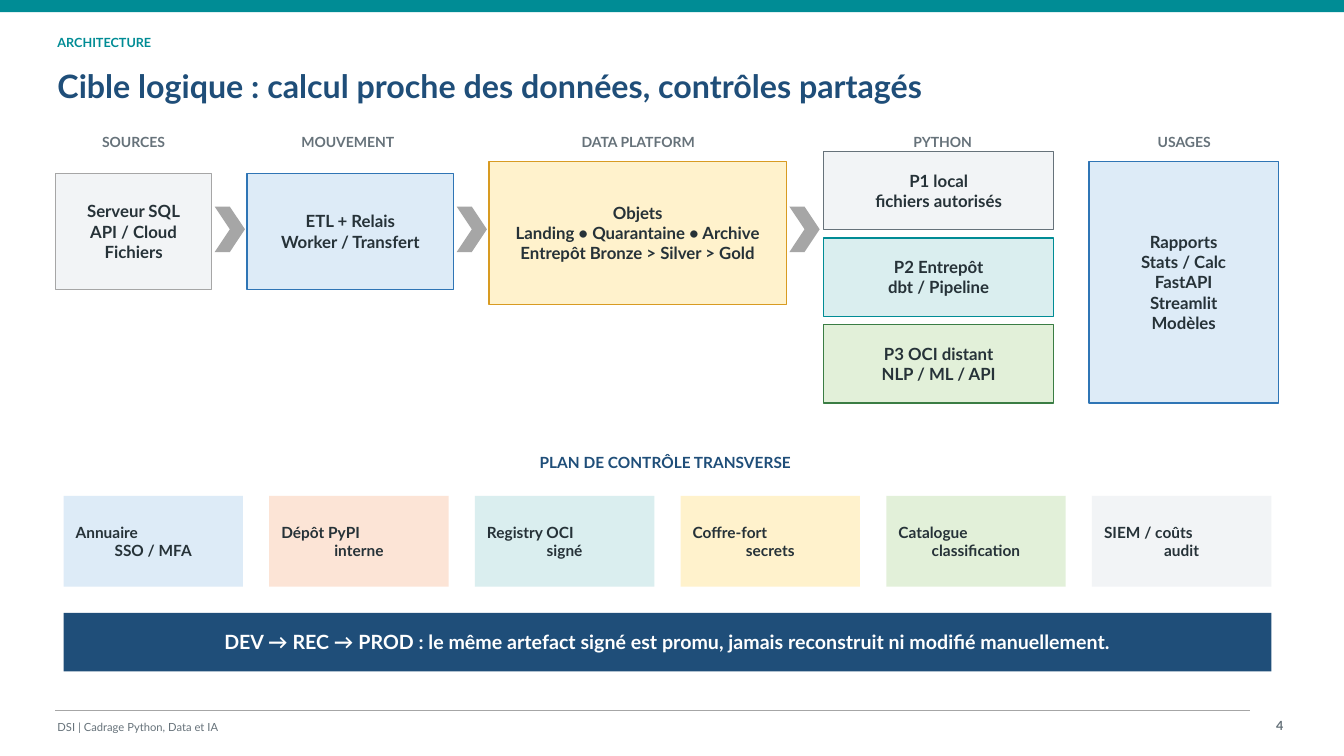
import pptx
import pptx.util
import pptx.dml.color
import pptx.enum.shapes
import pptx.enum.text
import pptx.oxml.ns
import lxml.etree

Inches = pptx.util.Inches
Align = pptx.enum.text.PP_ALIGN
Anchor = pptx.enum.text.MSO_ANCHOR
Preset = pptx.enum.shapes.MSO_SHAPE

FONT = "Lato"
COLORS = {
    "white": "FFFFFF", "ink": "263238", "slate": "66727A", "line": "A6A6A6",
    "navy": "1F4E79", "blue": "2F75B5", "teal": "008C95", "gold": "D89B22",
    "green": "3A7D44", "pale_gray": "F2F4F6", "pale_blue": "DDEBF7",
    "pale_gold": "FFF2CC", "pale_teal": "DAEEEF", "pale_green": "E2F0D9",
    "pale_orange": "FCE4D6",
}

SECTION = "ARCHITECTURE"
TITLE = "Cible logique : calcul proche des données, contrôles partagés"
FOOTER = "DSI | Cadrage Python, Data et IA"
PAGE_NUMBER = "4"

# text, left, width
HEADINGS = [
    ("SOURCES", 0.55, 1.55),
    ("MOUVEMENT", 2.35, 2.2),
    ("DATA PLATFORM", 4.83, 3),
    ("PYTHON", 8.2, 2.3),
    ("USAGES", 10.82, 1.85),
]
# lines, (left, top, width, height), fill, outline, followed by a chevron
STAGES = [
    (["Serveur SQL", "API / Cloud", "Fichiers"],
     (0.55, 1.72, 1.55, 1.15), "pale_gray", "line", True),
    (["ETL + Relais", "Worker / Transfert"],
     (2.45, 1.72, 2.05, 1.15), "pale_blue", "blue", True),
    (["Objets", "Landing • Quarantaine • Archive", "Entrepôt Bronze > Silver > Gold"],
     (4.85, 1.6, 2.95, 1.42), "pale_gold", "gold", True),
    (["Rapports", "Stats / Calc", "FastAPI", "Streamlit", "Modèles"],
     (10.8, 1.6, 1.88, 2.4), "pale_blue", "blue", False),
]
PYTHON_PROFILES = [
    (["P1 local", "fichiers autorisés"], "pale_gray", "slate"),
    (["P2 Entrepôt", "dbt / Pipeline"], "pale_teal", "teal"),
    (["P3 OCI distant", "NLP / ML / API"], "pale_green", "green"),
]
CONTROL_HEADING = "PLAN DE CONTRÔLE TRANSVERSE"
CONTROLS = [
    (["Annuaire", "SSO / MFA"], "pale_blue"),
    (["Dépôt PyPI", "interne"], "pale_orange"),
    (["Registry OCI", "signé"], "pale_teal"),
    (["Coffre-fort", "secrets"], "pale_gold"),
    (["Catalogue", "classification"], "pale_green"),
    (["SIEM / coûts", "audit"], "pale_gray"),
]
PROMOTION = ("DEV → REC → PROD : le même artefact signé est promu, "
             "jamais reconstruit ni modifié manuellement.")

PROFILE_LEFT, PROFILE_TOP, PROFILE_PITCH = 8.17, 1.5, 0.86
CONTROL_LEFT, CONTROL_PITCH = 0.63, 2.04


def color(name):
    return pptx.dml.color.RGBColor.from_string(COLORS[name])


def write(shape, lines, size=12, ink="ink", bold=True, aligns=(Align.CENTER,),
          anchor=Anchor.MIDDLE, inset=0.12):
    """Write one paragraph per line; the last alignment serves all later lines."""
    frame = shape.text_frame
    frame.word_wrap = True
    frame.auto_size = pptx.enum.text.MSO_AUTO_SIZE.NONE
    frame.vertical_anchor = anchor
    frame.margin_left = frame.margin_right = Inches(inset)
    frame.margin_top = frame.margin_bottom = Inches(inset)
    for index, line in enumerate(lines):
        paragraph = frame.add_paragraph() if index else frame.paragraphs[0]
        paragraph.alignment = aligns[min(index, len(aligns) - 1)]
        run = paragraph.add_run()
        run.text = line
        run.font.name = FONT
        run.font.size = pptx.util.Pt(size)
        run.font.bold = bold
        run.font.color.rgb = color(ink)


def add_block(slide, place, fill, outline=None, preset=Preset.RECTANGLE):
    shape = slide.shapes.add_shape(preset, *map(Inches, place))
    shape.shadow.inherit = False
    shape.fill.solid()
    shape.fill.fore_color.rgb = color(fill)
    if outline:
        shape.line.color.rgb = color(outline)
        shape.line.width = pptx.util.Pt(1)
    else:
        shape.line.fill.background()
    return shape


def add_label(slide, text, place, **text_format):
    write(slide.shapes.add_textbox(*map(Inches, place)), [text], inset=0.02, **text_format)


def add_frame(slide):
    """Top band, section, title and footer."""
    add_block(slide, (0, 0, 13.33, 0.12), "teal")
    add_label(slide, SECTION, (0.55, 0.28, 2.2, 0.28), size=9, ink="teal", aligns=[Align.LEFT])
    title = slide.shapes.title
    title.left, title.top, title.width, title.height = map(Inches, (0.55, 0.57, 12, 0.55))
    write(title, [TITLE], size=23, ink="navy", aligns=[Align.LEFT], inset=0.02)

    rule = slide.shapes.add_connector(
        pptx.enum.shapes.MSO_CONNECTOR.STRAIGHT,
        *map(Inches, (0.55, 7.05, 12.4, 7.05)))
    rule.line.color.rgb = color("line")
    rule.line.width = pptx.util.Pt(1)
    properties = rule._element.spPr
    lxml.etree.SubElement(properties, pptx.oxml.ns.qn("a:effectLst"))
    add_label(slide, FOOTER, (0.55, 7.12, 5.5, 0.18), size=8, ink="slate",
              bold=False, aligns=[Align.LEFT])
    add_label(slide, PAGE_NUMBER, (12.25, 7.1, 0.5, 0.2), size=9, ink="slate",
              aligns=[Align.RIGHT])


def add_flow(slide):
    for text, left, width in HEADINGS:
        add_label(slide, text, (left, 1.3, width, 0.32), size=10, ink="slate",
                  anchor=Anchor.TOP)
    for lines, place, fill, outline, has_chevron in STAGES:
        write(add_block(slide, place, fill, outline), lines)
        if has_chevron:
            right = place[0] + place[2]
            add_block(slide, (right + 0.03, 2.05, 0.3, 0.45), "line", preset=Preset.CHEVRON)
    for row, (lines, fill, outline) in enumerate(PYTHON_PROFILES):
        place = (PROFILE_LEFT, PROFILE_TOP + row * PROFILE_PITCH, 2.28, 0.78)
        write(add_block(slide, place, fill, outline), lines)


def add_controls(slide):
    add_label(slide, CONTROL_HEADING, (0.6, 4.48, 12, 0.28), size=11, ink="navy",
              anchor=Anchor.TOP)
    for column, (lines, fill) in enumerate(CONTROLS):
        place = (CONTROL_LEFT + column * CONTROL_PITCH, 4.92, 1.78, 0.9)
        write(add_block(slide, place, fill), lines, size=11,
              aligns=[Align.LEFT, Align.CENTER])
    banner = add_block(slide, (CONTROL_LEFT, 6.08, 11.98, 0.58), "navy")
    write(banner, [PROMOTION], size=14, ink="white")


def main():
    presentation = pptx.Presentation()
    presentation.slide_width = Inches(13.33)
    presentation.slide_height = Inches(7.5)
    slide = presentation.slides.add_slide(presentation.slide_layouts[5])
    add_frame(slide)
    add_flow(slide)
    add_controls(slide)
    presentation.save("out.pptx")


if __name__ == "__main__":
    main()
